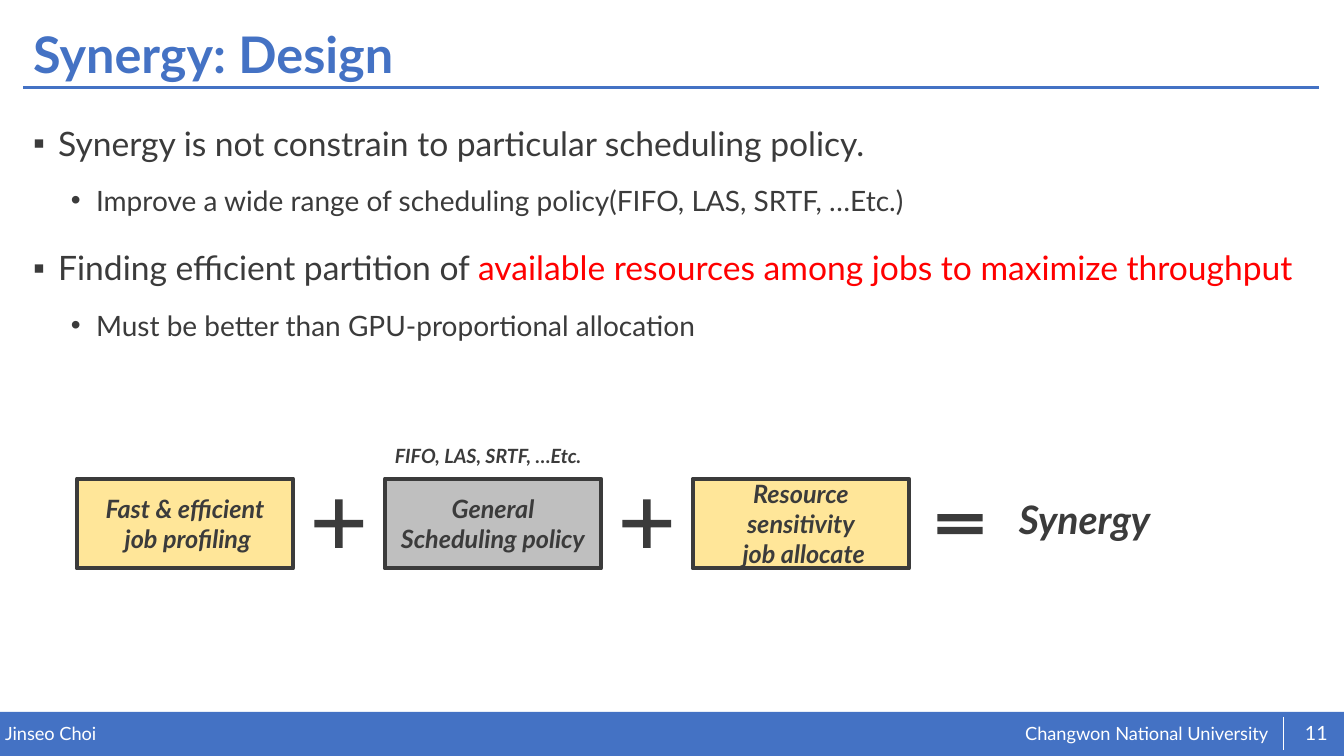
from pptx import Presentation
from pptx.util import Pt
from pptx.dml.color import RGBColor
from pptx.enum.shapes import MSO_SHAPE, MSO_CONNECTOR
from pptx.enum.text import PP_ALIGN, MSO_ANCHOR
from pptx.oxml.ns import qn
from lxml.etree import SubElement

BLUE, DARK, WHITE, RED = "4472C4", "3B3B3B", "FFFFFF", "FF0000"
GOLD, GRAY = "FFE699", "BFBFBF"


def color(code):
    return RGBColor.from_string(code)


class Deck:
    """Holds the style and the current slide, and draws each kind of element."""

    def __init__(self, face):
        self.face = face
        self.show = Presentation()
        self.show.slide_width, self.show.slide_height = Pt(960), Pt(540)
        self.slide = self.show.slides.add_slide(self.show.slide_layouts[5])

    def style(self, para, size, ink, bold=False, align=PP_ALIGN.LEFT):
        para.alignment = align
        font = para.font
        font.name, font.size, font.bold = self.face, Pt(size), bold
        font.color.rgb = color(ink)

    def title(self, text, x, y, w, h):
        head = self.slide.shapes.title
        head.left, head.top, head.width, head.height = map(Pt, (x, y, w, h))
        frame = head.text_frame
        frame.text = text
        frame.vertical_anchor = MSO_ANCHOR.MIDDLE
        frame.paragraphs[0].line_spacing = 0.9
        self.style(frame.paragraphs[0], 36, BLUE, True)

    def text(self, text, x, y, w, h, size, ink=DARK, bold=False,
             align=PP_ALIGN.LEFT, inset=True, anchor=MSO_ANCHOR.TOP):
        frame = self.slide.shapes.add_textbox(*map(Pt, (x, y, w, h))).text_frame
        frame.vertical_anchor = anchor
        if not inset:
            frame.margin_left = frame.margin_right = 0
            frame.margin_top = frame.margin_bottom = 0
        frame.text = text
        para = frame.paragraphs[0]
        self.style(para, size, ink, bold, align)
        para.font.italic = bold

    def list(self, items, x, y, w, h):
        frame = self.slide.shapes.add_textbox(*map(Pt, (x, y, w, h))).text_frame
        frame.word_wrap = True
        looks = (("▪", 18, 24, 10), ("•", 45, 20, 5))
        for i, (level, plain, hot) in enumerate(items):
            mark, left, size, gap = looks[level]
            para = frame.add_paragraph() if i else frame.paragraphs[0]
            para.level = level
            para.line_spacing = 1.4
            para.space_before = Pt(gap if i else 0)
            props = para._p.get_or_add_pPr()
            props.set("marL", str(Pt(left)))
            props.set("indent", str(Pt(-18)))
            SubElement(props, qn("a:buFont")).set("typeface", "Arial")
            SubElement(props, qn("a:buChar")).set("char", mark)
            self.style(para, size, DARK)
            para.add_run().text = plain
            if hot:
                run = para.add_run()
                run.text = hot
                run.font.color.rgb = color(RED)

    def shape(self, kind, x, y, w, h, fill, edge=None, adjust=()):
        item = self.slide.shapes.add_shape(kind, *map(Pt, (x, y, w, h)))
        item.shadow.inherit = False
        item.fill.solid()
        item.fill.fore_color.rgb = color(fill)
        if edge:
            item.line.color.rgb = color(edge)
            item.line.width = Pt(3)
        else:
            item.line.fill.background()
        for i, value in enumerate(adjust):
            item.adjustments[i] = value
        return item

    def box(self, text, x, y, w, h, fill):
        item = self.shape(MSO_SHAPE.RECTANGLE, x, y, w, h, fill, DARK)
        frame = item.text_frame
        frame.word_wrap = True
        frame.vertical_anchor = MSO_ANCHOR.MIDDLE
        frame.text = text
        for para in frame.paragraphs:
            self.style(para, 18, DARK, True, PP_ALIGN.CENTER)
            para.font.italic = True

    def line(self, x1, y1, x2, y2, ink, width):
        rule = self.slide.shapes.add_connector(
            MSO_CONNECTOR.STRAIGHT, *map(Pt, (x1, y1, x2, y2)))
        rule.line.color.rgb = color(ink)
        rule.line.width = Pt(width)
        SubElement(rule._element.spPr, qn("a:effectLst"))


def main():
    deck = Deck("Lato")
    deck.shape(MSO_SHAPE.RECTANGLE, 0, 508.5, 960, 31.5, BLUE)
    deck.text("Changwon National University", 732.3, 515.8, 192, 16.5, 13, WHITE,
              inset=False)
    deck.text("Jinseo Choi", 3.6, 516.3, 472, 16, 13, WHITE, inset=False)
    deck.text("11", 923, 509, 34.6, 29, 14, WHITE, align=PP_ALIGN.CENTER,
              inset=False, anchor=MSO_ANCHOR.MIDDLE)
    deck.line(16.5, 62.5, 942, 62.5, BLUE, 2)
    deck.line(916.5, 512, 916.5, 535.5, WHITE, 0.5)

    deck.title("Synergy: Design", 16.5, 13, 926, 55.5)
    deck.list((
        (0, "Synergy is not constrain to particular scheduling policy.", ""),
        (1, "Improve a wide range of scheduling policy(FIFO, LAS, SRTF, …Etc.)", ""),
        (0, "Finding efficient partition of ",
         "available resources among jobs to maximize throughput"),
        (1, "Must be better than GPU-proportional allocation", ""),
    ), 16.5, 72.7, 926, 405)

    left, pitch = 54.9, 220
    parts = (("Fast & efficient\n job profiling", GOLD),
             ("General\nScheduling policy", GRAY),
             ("Resource sensitivity\n job allocate", GOLD))
    for i, (label, fill) in enumerate(parts):
        x = left + i * pitch
        deck.box(label, x, 342, 154.4, 64, fill)
        if i < len(parts) - 1:
            deck.shape(MSO_SHAPE.MATH_PLUS, x + 163.4, 350.6, 47.5, 47, DARK,
                       adjust=(0.113,))
    deck.shape(MSO_SHAPE.MATH_EQUAL, 663.7, 338.4, 44, 72, DARK,
               adjust=(0.072, 0.056))
    deck.text("Synergy", 720.7, 350.6, 110, 41, 28, bold=True)
    deck.text("FIFO, LAS, SRTF, …Etc.", 274.9, 313.2, 151, 24.5, 14, bold=True)
    deck.show.save("out.pptx")


if __name__ == "__main__":
    main()
